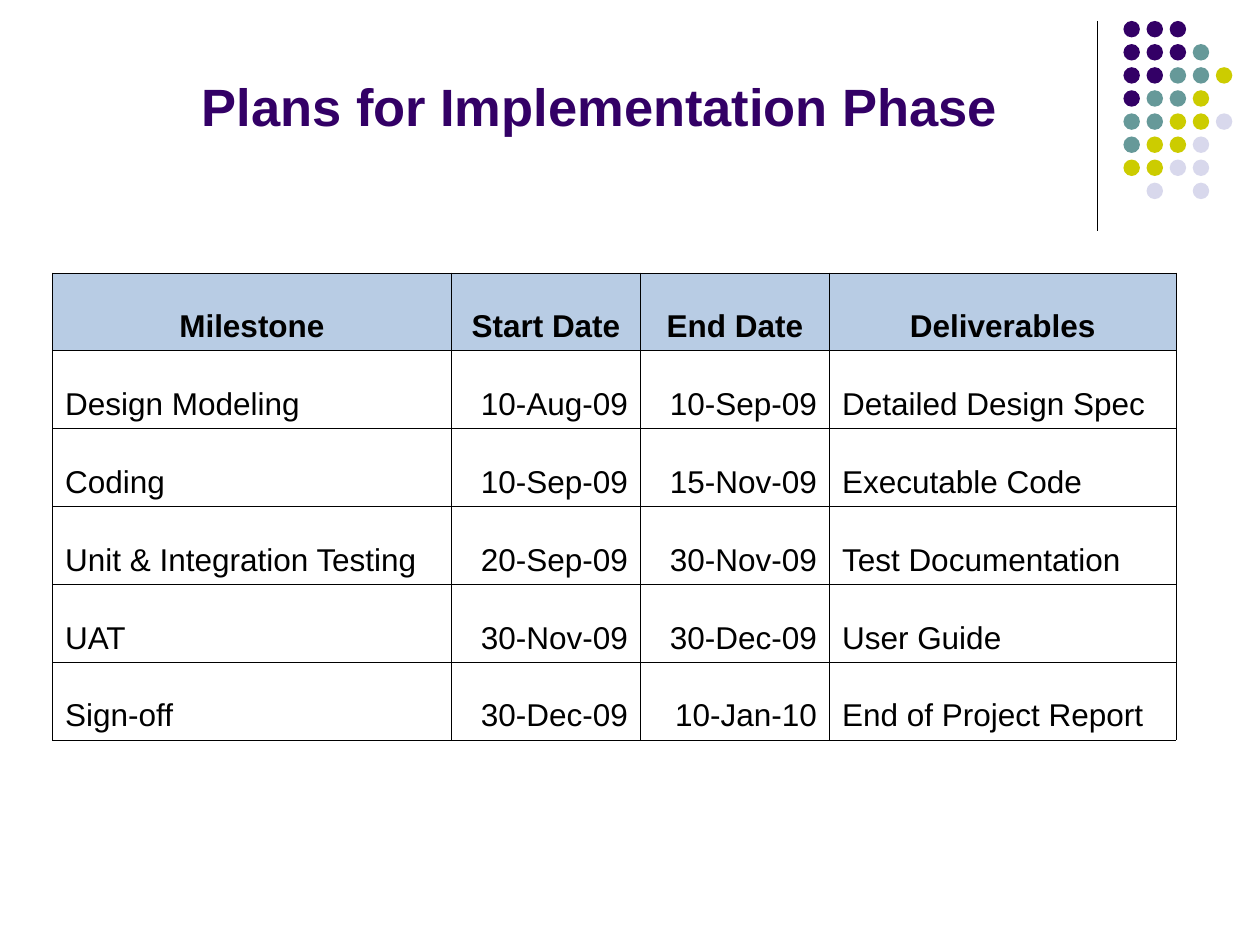
from lxml import etree
from pptx import Presentation
from pptx.dml.color import RGBColor
from pptx.enum.shapes import MSO_CONNECTOR, MSO_SHAPE
from pptx.enum.text import MSO_ANCHOR, MSO_AUTO_SIZE, PP_ALIGN
from pptx.oxml.ns import qn
from pptx.util import Pt

# Content
TITLE = "Plans for Implementation Phase"
MILESTONES = [
    ("Milestone", "Start Date", "End Date", "Deliverables"),
    ("Design Modeling", "10-Aug-09", "10-Sep-09", "Detailed Design Spec"),
    ("Coding", "10-Sep-09", "15-Nov-09", "Executable Code"),
    ("Unit & Integration Testing", "20-Sep-09", "30-Nov-09", "Test Documentation"),
    ("UAT", "30-Nov-09", "30-Dec-09", "User Guide"),
    ("Sign-off", "30-Dec-09", "10-Jan-10", "End of Project Report"),
]
# Dot pattern, one letter per dot: Purple, Teal, Yellow, Lavender
DOT_ROWS = ["PPP", "PPPT", "PPTTY", "PTTY", "TTYYL", "TYYL", "YYLL", " L L"]

# Style
FONT = "Arial"
PURPLE = RGBColor(0x33, 0x00, 0x66)
TEAL = RGBColor(0x66, 0x99, 0x99)
YELLOW = RGBColor(0xCC, 0xCC, 0x00)
LAVENDER = RGBColor(0xD8, 0xD8, 0xEC)
HEADER_BLUE = RGBColor(0xB8, 0xCC, 0xE4)
BLACK = RGBColor(0x00, 0x00, 0x00)
DOT_COLORS = {"P": PURPLE, "T": TEAL, "Y": YELLOW, "L": LAVENDER}
LEFT, CENTER, RIGHT = PP_ALIGN.LEFT, PP_ALIGN.CENTER, PP_ALIGN.RIGHT
BOTTOM = MSO_ANCHOR.BOTTOM

# Layout, in points
DOT_LEFT, DOT_TOP, DOT_SIZE, DOT_PITCH = 642, 12, 9.4, 13.2
TABLE_LEFT, TABLE_TOP, ROW_HEIGHT = 30, 156, 44.5
COLUMN_WIDTHS = [228, 108, 108, 198]
COLUMN_ALIGNS = [LEFT, RIGHT, RIGHT, LEFT]
BORDER_WIDTH = 0.45


def style_paragraph(para, size, bold, color, align):
    para.alignment = align
    para.font.name = FONT
    para.font.size = Pt(size)
    para.font.bold = bold
    para.font.color.rgb = color


def add_borders(cell):
    properties = cell._tc.get_or_add_tcPr()
    for index, side in enumerate(("a:lnL", "a:lnR", "a:lnT", "a:lnB")):
        line = etree.Element(qn(side), w=str(Pt(BORDER_WIDTH)))
        fill = etree.SubElement(line, qn("a:solidFill"))
        etree.SubElement(fill, qn("a:srgbClr"), val=str(BLACK))
        properties.insert(index, line)


def add_title(page):
    title = page.shapes.title
    title.left, title.top, title.width, title.height = Pt(108), Pt(30), Pt(498), Pt(52)
    frame = title.text_frame
    frame.text = TITLE
    frame.word_wrap = True
    frame.auto_size = MSO_AUTO_SIZE.NONE
    frame.vertical_anchor = BOTTOM
    style_paragraph(frame.paragraphs[0], 30, True, PURPLE, LEFT)


def add_corner_decoration(page):
    rule = page.shapes.add_connector(
        MSO_CONNECTOR.STRAIGHT, Pt(627), Pt(12), Pt(627), Pt(132))
    rule.line.color.rgb = BLACK
    rule.line.width = Pt(0.75)
    etree.SubElement(rule._element.spPr, qn("a:effectLst"))

    dots = page.shapes.add_group_shape()
    for row, letters in enumerate(DOT_ROWS):
        for column, letter in enumerate(letters):
            if letter == " ":
                continue
            dot = dots.shapes.add_shape(
                MSO_SHAPE.OVAL,
                Pt(DOT_LEFT + column * DOT_PITCH), Pt(DOT_TOP + row * DOT_PITCH),
                Pt(DOT_SIZE), Pt(DOT_SIZE))
            dot.shadow.inherit = False
            dot.fill.solid()
            dot.fill.fore_color.rgb = DOT_COLORS[letter]
            dot.line.fill.background()


def add_milestone_table(page):
    row_count = len(MILESTONES)
    table = page.shapes.add_table(
        row_count, len(COLUMN_WIDTHS), Pt(TABLE_LEFT), Pt(TABLE_TOP),
        Pt(sum(COLUMN_WIDTHS)), Pt(ROW_HEIGHT * row_count)).table
    table.horz_banding = False
    for column, width in zip(table.columns, COLUMN_WIDTHS):
        column.width = Pt(width)

    for row, texts in enumerate(MILESTONES):
        header = row == 0
        for column, text in enumerate(texts):
            cell = table.cell(row, column)
            cell.text = text
            cell.vertical_anchor = BOTTOM
            if header:
                cell.fill.solid()
                cell.fill.fore_color.rgb = HEADER_BLUE
            else:
                cell.fill.background()
            align = CENTER if header else COLUMN_ALIGNS[column]
            style_paragraph(cell.text_frame.paragraphs[0], 18, header, BLACK, align)
            add_borders(cell)


def main():
    deck = Presentation()
    deck.slide_width, deck.slide_height = Pt(720), Pt(540)
    page = deck.slides.add_slide(deck.slide_layouts.get_by_name("Title Only"))
    add_corner_decoration(page)
    add_title(page)
    add_milestone_table(page)
    deck.save("out.pptx")


if __name__ == "__main__":
    main()
